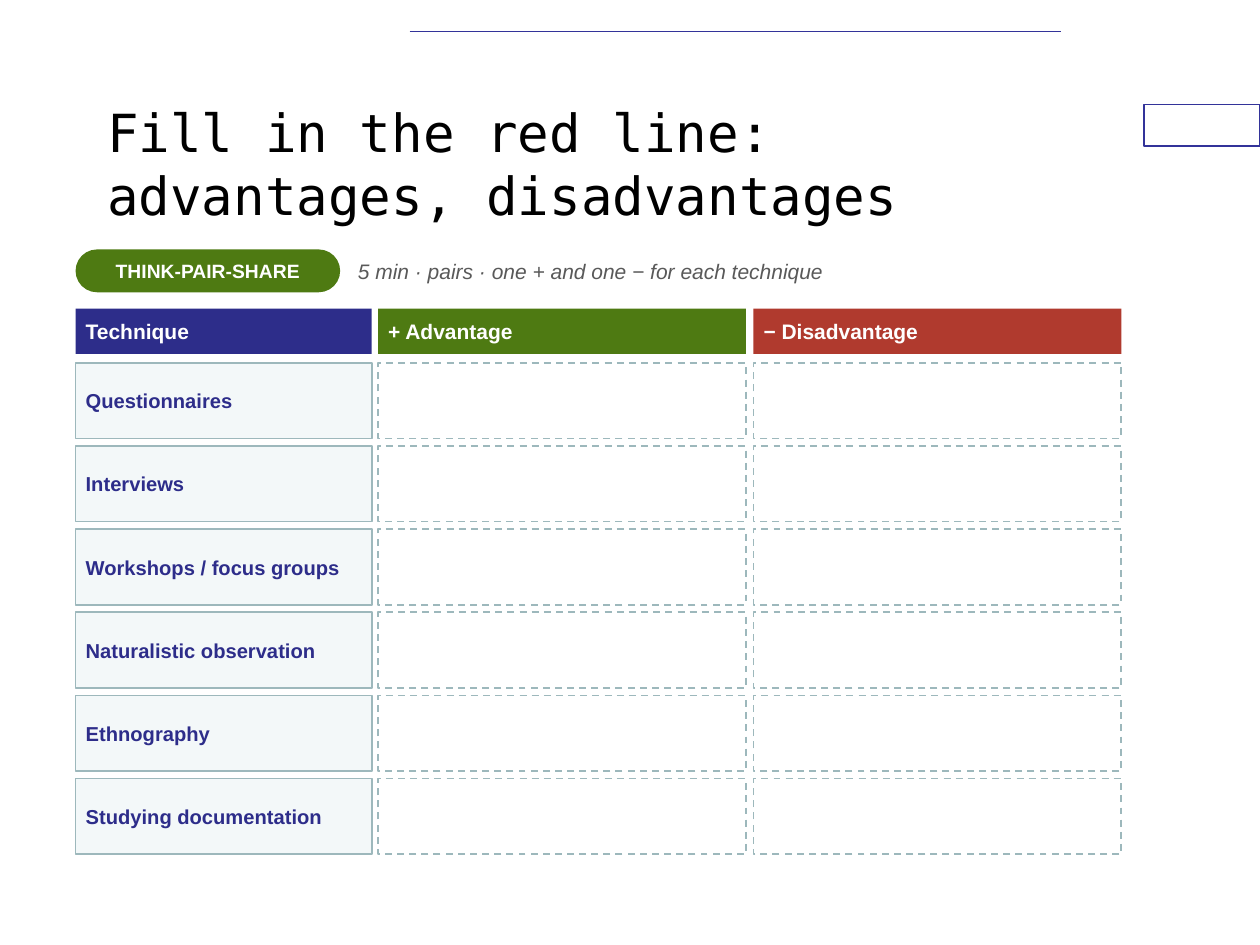
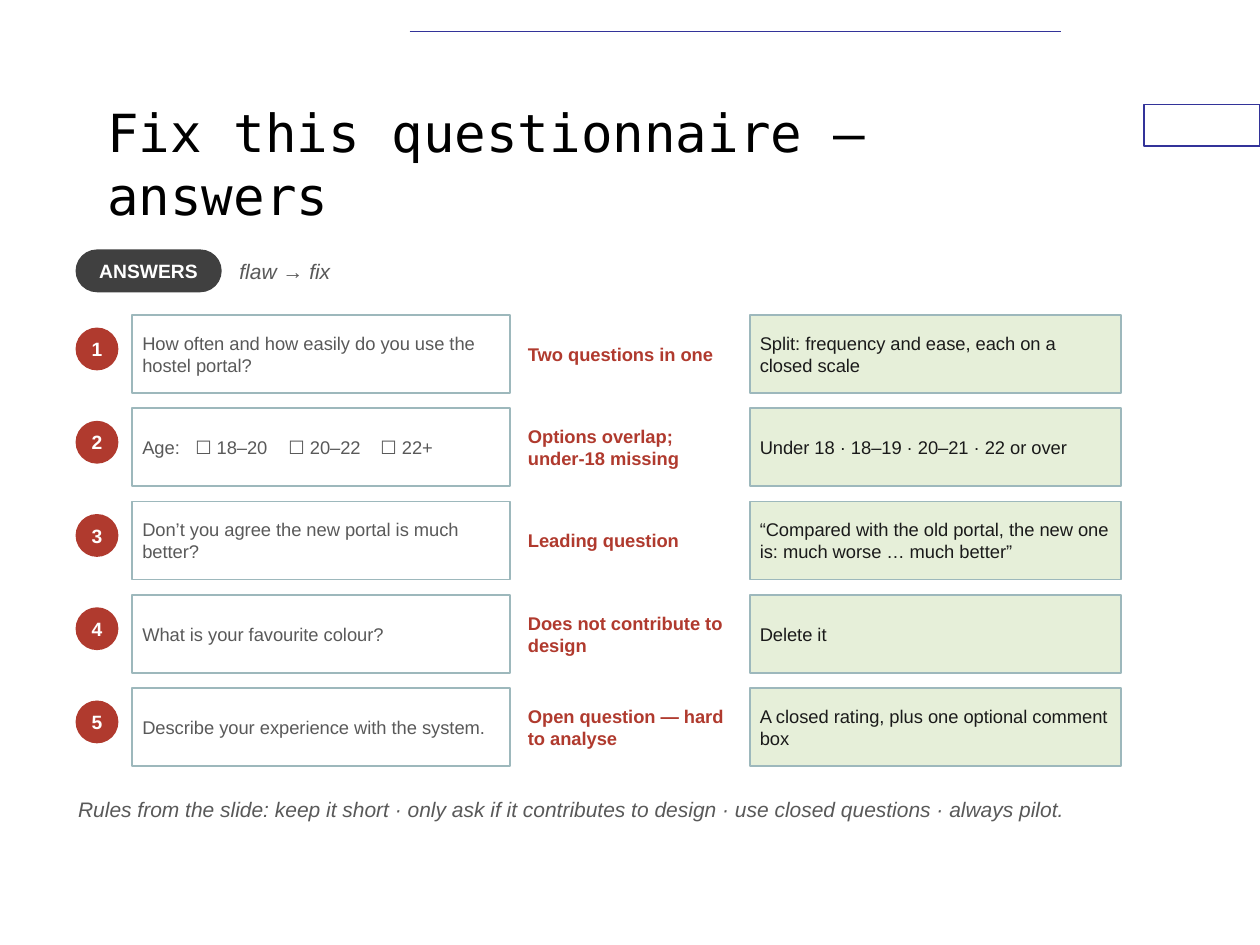
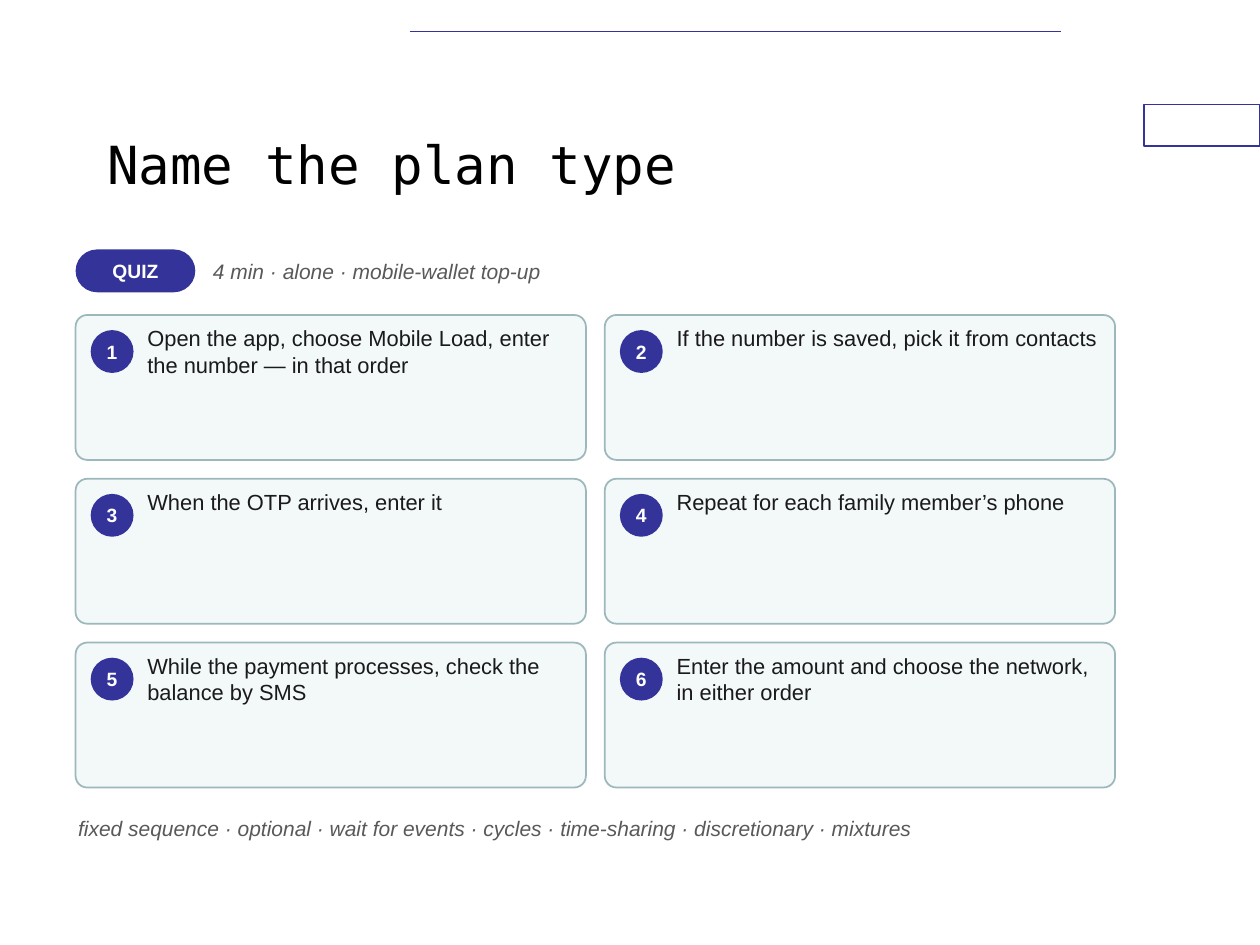
from lxml.etree import SubElement
from pptx import Presentation
from pptx.dml.color import RGBColor
from pptx.enum.dml import MSO_LINE
from pptx.enum.shapes import MSO_CONNECTOR, MSO_SHAPE as Shape
from pptx.enum.text import MSO_ANCHOR as Anchor, MSO_AUTO_SIZE, PP_ALIGN as Align
from pptx.oxml.ns import qn
from pptx.util import Pt

PX = 9144  # EMU in one px, 100 px to the inch

WHITE = RGBColor(0xFF, 0xFF, 0xFF)
BLACK = RGBColor(0x00, 0x00, 0x00)
INK = RGBColor(0x1A, 0x1A, 0x1A)
CHARCOAL = RGBColor(0x40, 0x40, 0x40)
GREY = RGBColor(0x59, 0x59, 0x59)
INDIGO = RGBColor(0x33, 0x33, 0x99)
NAVY = RGBColor(0x2D, 0x2D, 0x8A)
GREEN = RGBColor(0x4E, 0x7A, 0x12)
RED = RGBColor(0xB0, 0x3A, 0x2E)
PALE_BLUE = RGBColor(0xF3, 0xF8, 0xF9)
PALE_GREEN = RGBColor(0xE6, 0xEF, 0xD9)
EDGE = RGBColor(0x9D, 0xB8, 0xBC)

TITLE_FONT, BODY_FONT = "DejaVu Sans Mono", "Arial"
LEFT, RIGHT = 60, 890
BADGE = 34

TECHNIQUES = ["Questionnaires", "Interviews", "Workshops / focus groups",
              "Naturalistic observation", "Ethnography", "Studying documentation"]
# Heading, fill, left and width of each column
TECHNIQUE_COLUMNS = [("Technique", NAVY, 60, 235),
                     ("+ Advantage", GREEN, 300, 292),
                     ("− Disadvantage", RED, 598, 292)]
# Question, flaw and fix
ANSWERS = [
    ("How often and how easily do you use the hostel portal?",
     "Two questions in one",
     "Split: frequency and ease, each on a closed scale"),
    ("Age:\t☐ 18–20\t☐ 20–22\t☐ 22+",
     "Options overlap; under-18 missing",
     "Under 18 · 18–19 · 20–21 · 22 or over"),
    ("Don’t you agree the new portal is much better?",
     "Leading question",
     "“Compared with the old portal, the new one is: much worse … much better”"),
    ("What is your favourite colour?",
     "Does not contribute to design",
     "Delete it"),
    ("Describe your experience with the system.",
     "Open question — hard to analyse",
     "A closed rating, plus one optional comment box"),
]
OPTION_TABS = [42, 116, 189]
PLAN_STEPS = ["Open the app, choose Mobile Load, enter the number — in that order",
              "If the number is saved, pick it from contacts",
              "When the OTP arrives, enter it",
              "Repeat for each family member’s phone",
              "While the payment processes, check the balance by SMS",
              "Enter the amount and choose the network, in either order"]


def place(*lengths):
    return [length * PX for length in lengths]


def add_tab_stops(para, stops):
    tab_list = SubElement(para._p.get_or_add_pPr(), qn("a:tabLst"))
    for stop in stops:
        SubElement(tab_list, qn("a:tab"), pos=str(stop * PX), algn="l")


def write(shape, text, size, color, inset, bold=False, italic=False,
          align=Align.LEFT, anchor=Anchor.MIDDLE, font=BODY_FONT):
    frame = shape.text_frame
    frame.word_wrap = True
    frame.auto_size = MSO_AUTO_SIZE.NONE
    frame.vertical_anchor = anchor
    frame.margin_left = frame.margin_right = inset * PX
    frame.margin_top = frame.margin_bottom = min(inset, 8) * PX
    para = frame.paragraphs[0]
    para.text = text
    para.alignment = align
    if "\t" in text:
        add_tab_stops(para, OPTION_TABS)
    para.font.name, para.font.size = font, Pt(size)
    para.font.bold, para.font.italic = bold, italic
    para.font.color.rgb = color


def add_box(page, area, fill, edge=None, weight=1, dashed=False,
            kind=Shape.RECTANGLE, rounding=None):
    box = page.shapes.add_shape(kind, *place(*area))
    box.shadow.inherit = False
    box.fill.solid()
    box.fill.fore_color.rgb = fill
    if edge is None:
        box.line.fill.background()
    else:
        box.line.color.rgb = edge
        box.line.width = Pt(weight)
    if dashed:
        box.line.dash_style = MSO_LINE.DASH
    if rounding is not None:
        box.adjustments[0] = rounding
    return box


def add_label(page, area, text, size, color, inset=2, **style):
    write(page.shapes.add_textbox(*place(*area)), text, size, color, inset, **style)


def add_badge(page, left, top, number, fill):
    badge = add_box(page, (left, top, BADGE, BADGE), fill, kind=Shape.OVAL)
    write(badge, str(number), 11, WHITE, 0, bold=True, align=Align.CENTER)


def add_footnote(page, top, text):
    add_label(page, (LEFT, top, RIGHT - LEFT, 50), text, 12, GREY,
              italic=True, anchor=Anchor.TOP)


def add_page(deck, title, tag, tag_width, tag_fill, note):
    """Start a slide with the shared rule, side box, title, tag and note."""
    page = deck.slides.add_slide(deck.slide_layouts[5])
    add_box(page, (908, 83, 92, 33), WHITE, INDIGO, weight=0.75)
    rule = page.shapes.add_connector(MSO_CONNECTOR.STRAIGHT, *place(325, 25, 842, 25))
    rule.line.color.rgb, rule.line.width = INDIGO, Pt(1)
    SubElement(rule._element.spPr, qn("a:effectLst"))

    heading = page.shapes.title
    heading.left, heading.top, heading.width, heading.height = place(75, 67, 750, 125)
    write(heading, title, 30, BLACK, 10, font=TITLE_FONT)

    pill = add_box(page, (LEFT, 198, tag_width, 34), tag_fill,
                   kind=Shape.ROUNDED_RECTANGLE, rounding=0.5)
    write(pill, tag, 11, WHITE, 3, bold=True, align=Align.CENTER)
    note_left = LEFT + tag_width + 12
    add_label(page, (note_left, 198, RIGHT - note_left, 34), note, 12, GREY, italic=True)
    return page


def build_techniques(deck):
    page = add_page(deck, "Fill in the red line: advantages, disadvantages",
                    "THINK-PAIR-SHARE", 210, GREEN,
                    "5 min · pairs · one + and one − for each technique")
    for heading, fill, left, width in TECHNIQUE_COLUMNS:
        header = add_box(page, (left, 245, width, 36), fill)
        write(header, heading, 12, WHITE, 8, bold=True)
    for row, technique in enumerate(TECHNIQUES):
        for column, (_, _, left, width) in enumerate(TECHNIQUE_COLUMNS):
            area = (left, 288 + 66 * row, width, 60)
            if column == 0:
                write(add_box(page, area, PALE_BLUE, EDGE), technique, 11.5, NAVY, 8,
                      bold=True)
            else:
                add_box(page, area, WHITE, EDGE, dashed=True)


def build_answers(deck):
    page = add_page(deck, "Fix this questionnaire — answers",
                    "ANSWERS", 116, CHARCOAL, "flaw → fix")
    for row, (question, flaw, fix) in enumerate(ANSWERS):
        top = 250 + 74 * row
        add_badge(page, LEFT, top + 10, row + 1, RED)
        write(add_box(page, (105, top, 300, 62), WHITE, EDGE), question, 10.5, GREY, 8)
        add_label(page, (415, top, 175, 62), flaw, 10.5, RED, inset=4, bold=True)
        write(add_box(page, (595, top, 295, 62), PALE_GREEN, EDGE), fix, 10.5, INK, 8)
    add_footnote(page, 630, "Rules from the slide: keep it short · only ask if it "
                 "contributes to design · use closed questions · always pilot.")


def build_quiz(deck):
    page = add_page(deck, "Name the plan type", "QUIZ", 95, INDIGO,
                    "4 min · alone · mobile-wallet top-up")
    for index, step in enumerate(PLAN_STEPS):
        row, column = divmod(index, 2)
        left, top = LEFT + 420 * column, 250 + 130 * row
        add_box(page, (left, top, 405, 115), PALE_BLUE, EDGE,
                kind=Shape.ROUNDED_RECTANGLE, rounding=0.08)
        add_badge(page, left + 12, top + 12, index + 1, INDIGO)
        add_label(page, (left + 55, top + 6, 340, 100), step, 12.5, INK,
                  anchor=Anchor.TOP)
    add_footnote(page, 645, "fixed sequence · optional · wait for events · cycles · "
                 "time-sharing · discretionary · mixtures")


def main():
    deck = Presentation()
    deck.slide_width, deck.slide_height = place(1000, 750)
    build_techniques(deck)
    build_answers(deck)
    build_quiz(deck)
    deck.save("out.pptx")


if __name__ == "__main__":
    main()
